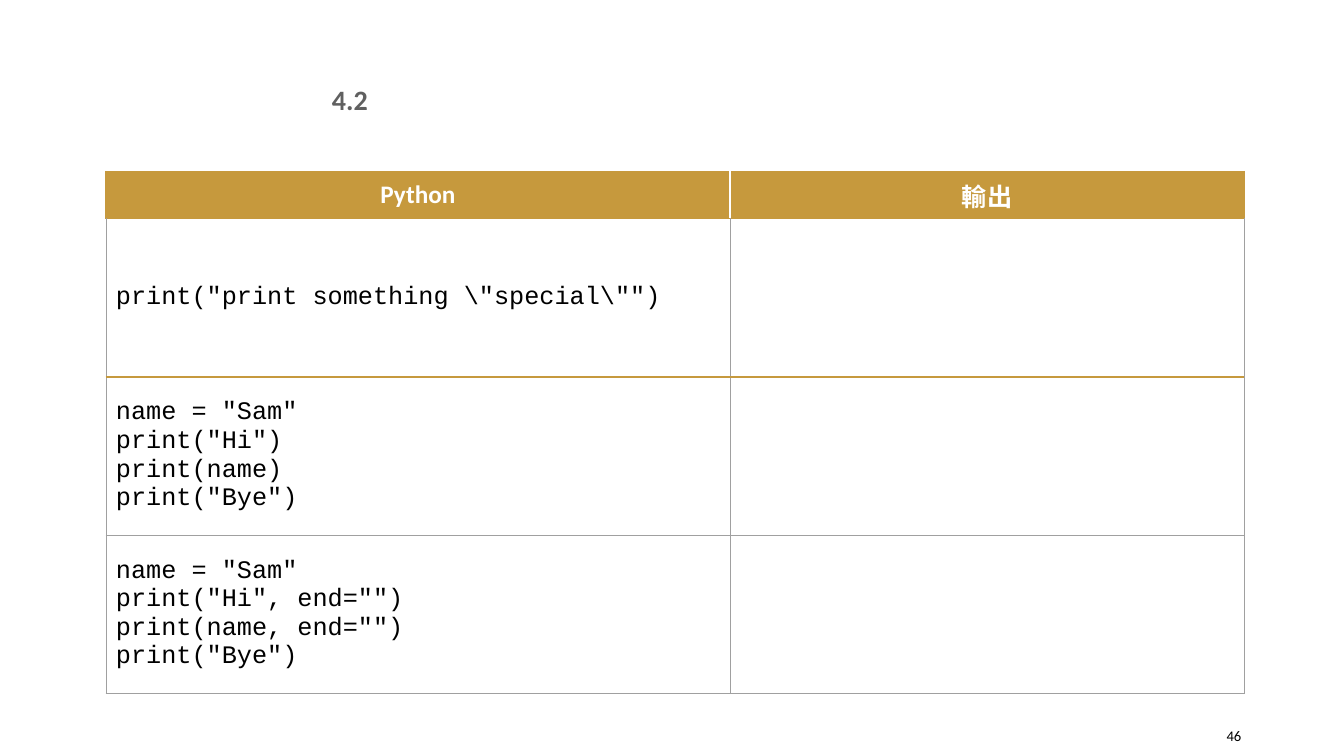
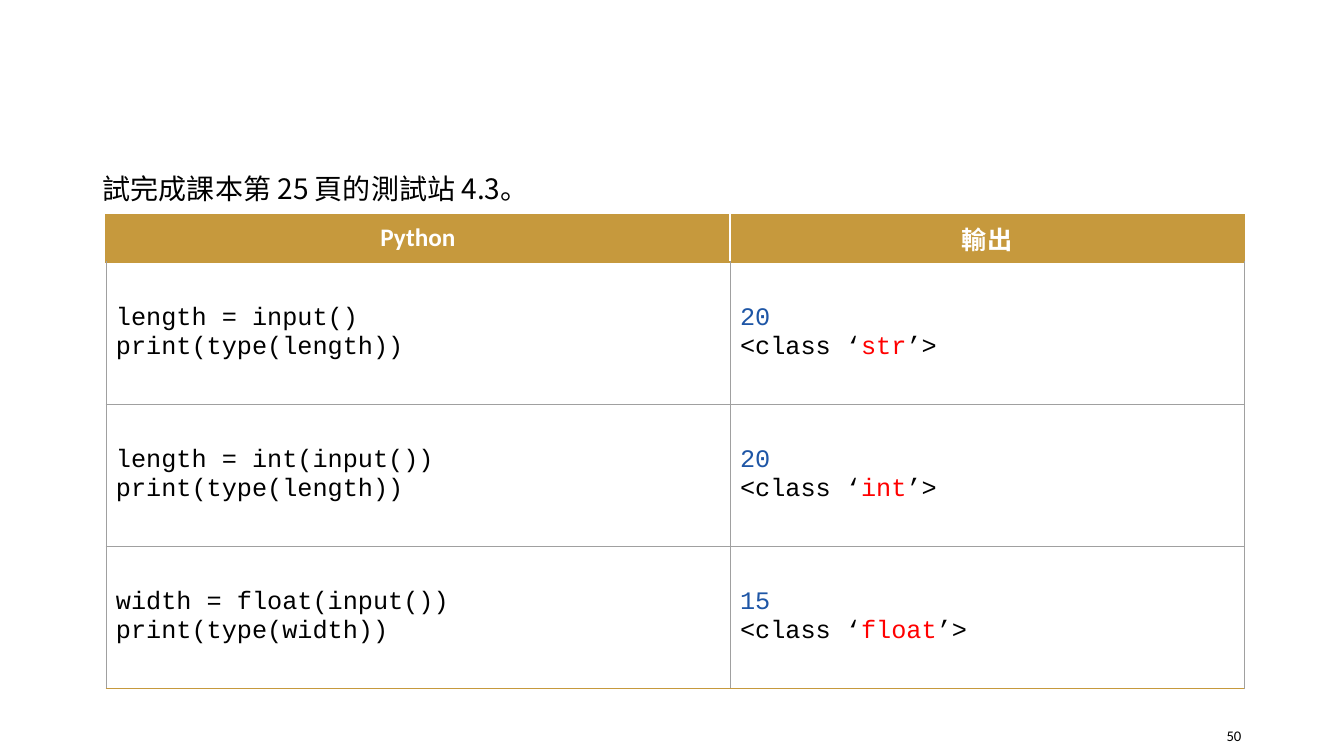
from pptx import Presentation
from pptx.dml.color import RGBColor
from pptx.enum.text import MSO_ANCHOR as Anchor, PP_ALIGN as Align
from pptx.oxml.ns import qn
from pptx.util import Inches, Pt
from lxml.etree import SubElement

# Shared look
GOLD = RGBColor(0xC6, 0x99, 0x3D)
WHITE = RGBColor(0xFF, 0xFF, 0xFF)
BLACK = RGBColor(0, 0, 0)
GREY = RGBColor(0x60, 0x60, 0x60)
RULE = RGBColor(0xA0, 0xA0, 0xA0)
BLUE = RGBColor(0x1E, 0x56, 0xA6)
RED = RGBColor(0xFF, 0, 0)

LATIN, CJK, MONO = "Calibri", "Noto Sans CJK TC", "Courier New"

NUMBER = {"name": LATIN, "size": Pt(10.5)}
SECTION = {"name": LATIN, "size": Pt(20), "bold": True}
TASK = {"name": CJK, "size": Pt(20), "bold": False}
HEADER = {"size": Pt(18), "bold": True}
CODE = {"name": MONO, "size": Pt(18), "bold": False}

HEADINGS = [("Python", LATIN), ("輸出", CJK)]
TABLE_LEFT = 1.05
COLUMN_WIDTHS = [6.19, 5.1]
HEADER_HEIGHT = 0.47
BODY_LAYOUT = 2


def write_run(paragraph, text, style, color):
    run = paragraph.add_run()
    run.text = text
    for attribute, value in style.items():
        setattr(run.font, attribute, value)
    run.font.color.rgb = color
    east_asian = SubElement(run.font._element, qn("a:ea"))
    east_asian.set("typeface", style["name"])


def write_lines(frame, lines, style, align=Align.LEFT, spacing=1.0):
    """Each line is a list of (text, colour) pieces."""
    for index, pieces in enumerate(lines):
        paragraph = frame.paragraphs[0] if index == 0 else frame.add_paragraph()
        layout = {"alignment": align, "line_spacing": spacing, "space_before": Pt(0)}
        for attribute, value in layout.items():
            setattr(paragraph, attribute, value)
        for text, color in pieces:
            write_run(paragraph, text, style, color)


def place(shape, left, top, width, height):
    shape.left, shape.top = Inches(left), Inches(top)
    shape.width, shape.height = Inches(width), Inches(height)


def add_slide(deck, number):
    slide = deck.slides.add_slide(deck.slide_layouts[BODY_LAYOUT])
    empty_title = slide.shapes.title._element
    empty_title.getparent().remove(empty_title)
    box = slide.shapes.add_textbox(*map(Inches, (11.57, 7.1, 0.84, 0.4)))
    frame = box.text_frame
    frame.word_wrap = True
    frame.vertical_anchor = Anchor.MIDDLE
    write_lines(frame, [[(number, BLACK)]], NUMBER, Align.RIGHT)
    return slide


def fill_body(slide, area, text, style, color, anchor, align, spacing=1.0):
    body = slide.placeholders[1]
    place(body, *area)
    body.text_frame.vertical_anchor = anchor
    write_lines(body.text_frame, [[(text, color)]], style, align, spacing)


# Table parts
def set_borders(cell, colors):
    properties = cell._tc.get_or_add_tcPr()
    for side, color in zip("LRTB", colors):
        width = Pt(0.5) if color == RULE else Pt(1)
        line = SubElement(properties, qn(f"a:ln{side}"), w=str(width))
        fill = SubElement(line, qn("a:solidFill"))
        SubElement(fill, qn("a:srgbClr"), val=str(color))


def style_cells(table, accent_edge):
    """Gold header and accent edge; thin grey rules elsewhere."""
    level = [GOLD if edge in (0, 1, accent_edge) else RULE
             for edge in range(len(table.rows) + 1)]
    for row_index, row in enumerate(table.rows):
        is_header = row_index == 0
        upright = [GOLD, WHITE, GOLD] if is_header else [RULE] * 3
        for column, cell in enumerate(row.cells):
            set_borders(cell, upright[column:column + 2] + level[row_index:row_index + 2])
            cell.fill.solid()
            cell.fill.fore_color.rgb = GOLD if is_header else WHITE
            cell.vertical_anchor = Anchor.MIDDLE


def add_code_table(slide, top, row_height, examples, accent_edge):
    heights = [HEADER_HEIGHT] + [row_height] * len(examples)
    frame = slide.shapes.add_table(
        len(heights), len(COLUMN_WIDTHS), Inches(TABLE_LEFT), Inches(top),
        Inches(sum(COLUMN_WIDTHS)), Inches(sum(heights)))
    table = frame.table
    for flag, value in {"first_row": True, "horz_banding": False}.items():
        setattr(table, flag, value)
    for column, width in zip(table.columns, COLUMN_WIDTHS):
        column.width = Inches(width)
    for row, height in zip(table.rows, heights):
        row.height = Inches(height)
    style_cells(table, accent_edge)

    for column, (heading, font_name) in enumerate(HEADINGS):
        write_lines(table.cell(0, column).text_frame, [[(heading, WHITE)]],
                    {**HEADER, "name": font_name}, Align.CENTER)
    for row_index, (code, output) in enumerate(examples, start=1):
        code_lines = [[(line, BLACK)] for line in code.split("\n")]
        for column, lines in enumerate((code_lines, output)):
            write_lines(table.cell(row_index, column).text_frame, lines, CODE)


def type_output(entered, type_name):
    return [[(entered, BLUE)],
            [("<class ‘", BLACK), (type_name, RED), ("’>", BLACK)]]


# Slides
def build_print_slide(deck):
    slide = add_slide(deck, "46")
    fill_body(slide, (3, 0.83, 0.94, 0.31), "4.2", SECTION, GREY,
              Anchor.MIDDLE, Align.CENTER)
    examples = [
        (r'print("print something \"special\"")', []),
        ('name = "Sam"\nprint("Hi")\nprint(name)\nprint("Bye")', []),
        ('name = "Sam"\nprint("Hi", end="")\nprint(name, end="")\nprint("Bye")', []),
    ]
    add_code_table(slide, 1.7, 1.57, examples, accent_edge=2)


def build_input_slide(deck):
    slide = add_slide(deck, "50")
    fill_body(slide, (0.92, 1.58, 11.5, 5.31), "試完成課本第 25 頁的測試站 4.3。",
              TASK, BLACK, Anchor.TOP, Align.LEFT, spacing=1.2)
    examples = [
        ("length = input()\nprint(type(length))", type_output("20", "str")),
        ("length = int(input())\nprint(type(length))", type_output("20", "int")),
        ("width = float(input())\nprint(type(width))", type_output("15", "float")),
    ]
    add_code_table(slide, 2.13, 1.41, examples, accent_edge=4)


def main():
    deck = Presentation()
    deck.slide_width, deck.slide_height = Inches(13.33), Inches(7.5)
    build_print_slide(deck)
    build_input_slide(deck)
    deck.save("out.pptx")


if __name__ == "__main__":
    main()
